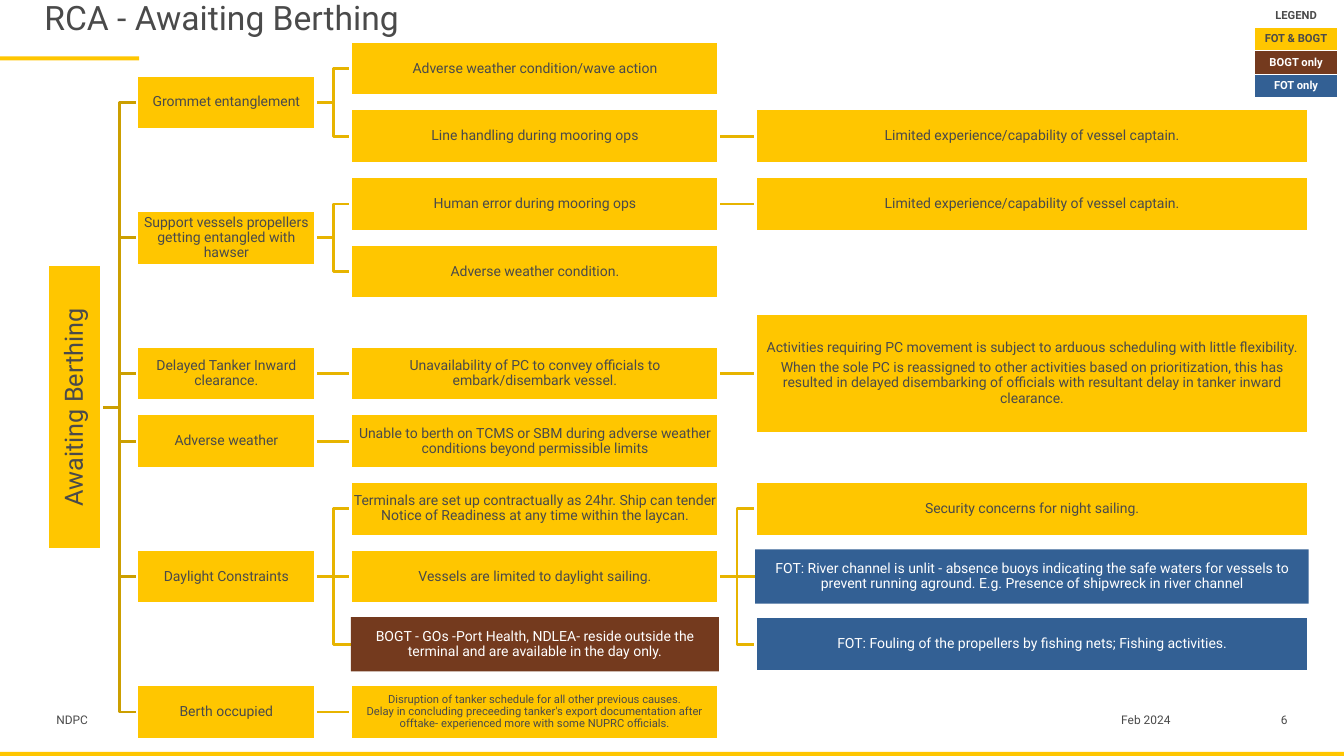
from dataclasses import dataclass, field

from lxml import etree
from pptx import Presentation
from pptx.dml.color import RGBColor
from pptx.enum.shapes import MSO_CONNECTOR as Connector, MSO_SHAPE as Shape
from pptx.enum.text import MSO_ANCHOR as Anchor, MSO_AUTO_SIZE as AutoSize, PP_ALIGN as Align
from pptx.oxml.ns import qn
from pptx.util import Inches, Pt

YELLOW = RGBColor(0xFF, 0xC6, 0x00)
BROWN = RGBColor(0x74, 0x3A, 0x1E)
BLUE = RGBColor(0x33, 0x60, 0x94)
GREY = RGBColor(0x4A, 0x4A, 0x4A)
WHITE = RGBColor(0xFF, 0xFF, 0xFF)
TRUNK = RGBColor(0xCC, 0x9F, 0x00)
BRANCH = RGBColor(0xE7, 0xB4, 0x00)
FONT = "Roboto"

# Left edge and width of each tree level, in inches
COLUMNS = [(0.47, 0.54), (1.36, 1.77), (3.48, 3.65), (7.49, 5.49)]
FIRST_ROW, ROW_PITCH, BOX_HEIGHT = 0.68, 0.672, 0.54


@dataclass
class Cause:
    text: str
    row: float
    children: list = field(default_factory=list)
    fill: RGBColor = YELLOW
    size: float = 10
    height: float = BOX_HEIGHT
    border: bool = True

    @property
    def middle(self):
        return FIRST_ROW + self.row * ROW_PITCH


CAPTAIN = "Limited experience/capability of vessel captain."
TREE = Cause("Awaiting Berthing", 5, [
    Cause("Grommet entanglement", 0.5, [
        Cause("Adverse weather condition/wave action", 0),
        Cause("Line handling during mooring ops", 1, [Cause(CAPTAIN, 1)]),
    ]),
    Cause("Support vessels propellers getting entangled with hawser", 2.5, [
        Cause("Human error during mooring ops", 2, [Cause(CAPTAIN, 2)]),
        Cause("Adverse weather condition.", 3),
    ]),
    Cause("Delayed Tanker Inward clearance.", 4.5, [
        Cause("Unavailability of PC to convey officials to embark/disembark vessel.", 4.5, [
            Cause("Activities requiring PC movement is subject to arduous scheduling with little "
                  "flexibility.\nWhen the sole PC is reassigned to other activities based on "
                  "prioritization, this has resulted in delayed disembarking of officials with "
                  "resultant delay in tanker inward clearance.", 4.5, height=1.19),
        ]),
    ]),
    Cause("Adverse weather", 5.5, [
        Cause("Unable to berth on TCMS or SBM during adverse weather conditions "
              "beyond permissible limits", 5.5),
    ]),
    Cause("Daylight Constraints", 7.5, [
        Cause("Terminals are set up contractually as 24hr. Ship can tender Notice of Readiness "
              "at any time within the laycan.", 6.5),
        Cause("Vessels are limited to daylight sailing.", 7.5, [
            Cause("Security concerns for night sailing.", 6.5),
            Cause("FOT: River channel is unlit - absence buoys indicating the safe waters for "
                  "vessels to prevent running aground. E.g. Presence of shipwreck in river "
                  "channel", 7.5, fill=BLUE, border=False),
            Cause("FOT: Fouling of the propellers by fishing nets; Fishing activities.",
                  8.5, fill=BLUE),
        ]),
        Cause("BOGT - GOs -Port Health, NDLEA- reside outside the terminal and are available "
              "in the day only.", 8.5, fill=BROWN, border=False),
    ]),
    Cause("Berth occupied", 9.5, [
        Cause("Disruption of tanker schedule for all other previous causes.\v"
              "Delay in concluding preceeding tanker's export documentation after offtake- "
              "experienced more with some NUPRC officials.", 9.5, size=8),
    ]),
], size=18, height=2.83)

LEGEND = [("LEGEND", None, GREY), ("FOT & BOGT", YELLOW, GREY),
          ("BOGT only", BROWN, WHITE), ("FOT only", BLUE, WHITE)]


def format_text(text_frame, size, color=GREY, align=Align.LEFT, bold=False):
    for paragraph in text_frame.paragraphs:
        paragraph.alignment = align
        for run in paragraph.runs:
            run.font.name = FONT
            run.font.size = Pt(size)
            run.font.bold = bold
            run.font.color.rgb = color


def set_margins(text_frame, left, top, right, bottom):
    text_frame.margin_left, text_frame.margin_top = Inches(left), Inches(top)
    text_frame.margin_right, text_frame.margin_bottom = Inches(right), Inches(bottom)


def add_rectangle(slide, left, top, width, height, fill):
    shape = slide.shapes.add_shape(Shape.RECTANGLE, Inches(left), Inches(top),
                                   Inches(width), Inches(height))
    shape.shadow.inherit = False
    shape.fill.solid()
    shape.fill.fore_color.rgb = fill
    shape.line.fill.background()
    return shape


def add_title(slide, text):
    title = slide.shapes.title
    title.left, title.top = Inches(0.44), Inches(-0.03)
    title.width, title.height = Inches(12.22), Inches(0.39)
    text_frame = title.text_frame
    text_frame.text = text
    text_frame.auto_size = AutoSize.NONE
    text_frame.vertical_anchor = Anchor.TOP
    set_margins(text_frame, 0, 0, 0, 0)
    format_text(text_frame, 24)


def add_footer(slide, text, left, width, align):
    box = slide.shapes.add_textbox(Inches(left), Inches(7.07), Inches(width), Inches(0.26))
    text_frame = box.text_frame
    text_frame.word_wrap = True
    text_frame.text = text
    set_margins(text_frame, 0, 0, 0, 0.05)
    format_text(text_frame, 8.5, align=align)


def add_cause_box(slide, cause, level):
    left, width = COLUMNS[level]
    height = cause.height
    if level == 0:  # the root reads upwards
        left, width, height = left + (width - height) / 2, height, width
    shape = add_rectangle(slide, left, cause.middle - height / 2, width, height, cause.fill)
    if level == 0:
        shape.rotation = 270
    if cause.border:
        shape.line.color.rgb = WHITE
        shape.line.width = Pt(2)
    text_frame = shape.text_frame
    text_frame.word_wrap = True
    text_frame.vertical_anchor = Anchor.MIDDLE
    text_frame.text = cause.text
    set_margins(text_frame, 0.01, 0.01, 0.01, 0.01)
    format_text(text_frame, cause.size, GREY if cause.fill == YELLOW else WHITE, Align.CENTER)
    for paragraph in text_frame.paragraphs:
        paragraph.line_spacing = 0.9
        paragraph.space_after = Pt(cause.size * 0.35)
    return shape


def add_link(slide, cause, box, child, child_box, level):
    start = Inches(sum(COLUMNS[level]))
    end = Inches(COLUMNS[level + 1][0])
    y1, y2 = Inches(cause.middle), Inches(child.middle)
    if cause.row == child.row:
        link = slide.shapes.add_connector(Connector.STRAIGHT, start, y1, end, y2)
        link.begin_connect(box, 3)
        link.end_connect(child_box, 1)
        etree.SubElement(link.element.spPr, qn("a:effectLst"))
    else:
        bend = (start + end) // 2
        builder = slide.shapes.build_freeform(start, y1)
        builder.add_line_segments([(bend, y1), (bend, y2), (end, y2)], close=False)
        link = builder.convert_to_shape()
        link.shadow.inherit = False
        link.fill.background()
    link.line.color.rgb = TRUNK if level == 0 else BRANCH
    link.line.width = Pt(2)
    # Links lie behind the boxes
    link.element.getparent().insert(2, link.element)


def add_tree(slide, cause, level=0):
    box = add_cause_box(slide, cause, level)
    for child in cause.children:
        child_box = add_tree(slide, child, level + 1)
        add_link(slide, cause, box, child, child_box, level)
    return box


def add_cell_borders(cell):
    properties = cell._tc.get_or_add_tcPr()
    for side in ("a:lnL", "a:lnR", "a:lnT", "a:lnB"):
        line = etree.SubElement(properties, qn(side), w=str(Pt(1)))
        solid = etree.SubElement(line, qn("a:solidFill"))
        etree.SubElement(solid, qn("a:srgbClr"), val=str(WHITE))


def add_legend(slide):
    table = slide.shapes.add_table(len(LEGEND), 1, Inches(12.44), Inches(0.04),
                                   Inches(0.83), Inches(0.93)).table
    for index, (label, fill, color) in enumerate(LEGEND):
        cell = table.cell(index, 0)
        add_cell_borders(cell)
        if fill is None:
            cell.fill.background()
        else:
            cell.fill.solid()
            cell.fill.fore_color.rgb = fill
        cell.text_frame.text = label
        set_margins(cell, 0.05, 0.05, 0.05, 0.05)
        format_text(cell.text_frame, 8, color, Align.CENTER, bold=True)


def main():
    presentation = Presentation()
    presentation.slide_width, presentation.slide_height = Inches(13.33), Inches(7.5)
    slide = presentation.slides.add_slide(presentation.slide_layouts[5])

    # Cause tree, then title and legend
    add_tree(slide, TREE)
    add_title(slide, "RCA - Awaiting Berthing")
    add_legend(slide)

    # Accent bars and footer
    add_rectangle(slide, -0.01, 0.56, 1.39, 0.04, YELLOW)
    add_rectangle(slide, 0, 7.46, 13.33, 0.04, YELLOW)
    add_footer(slide, "NDPC", 0.56, 3.67, Align.LEFT)
    add_footer(slide, "Feb 2024", 10.58, 1.57, Align.CENTER)
    add_footer(slide, "6", 12.38, 0.39, Align.RIGHT)

    presentation.save("out.pptx")


if __name__ == "__main__":
    main()
